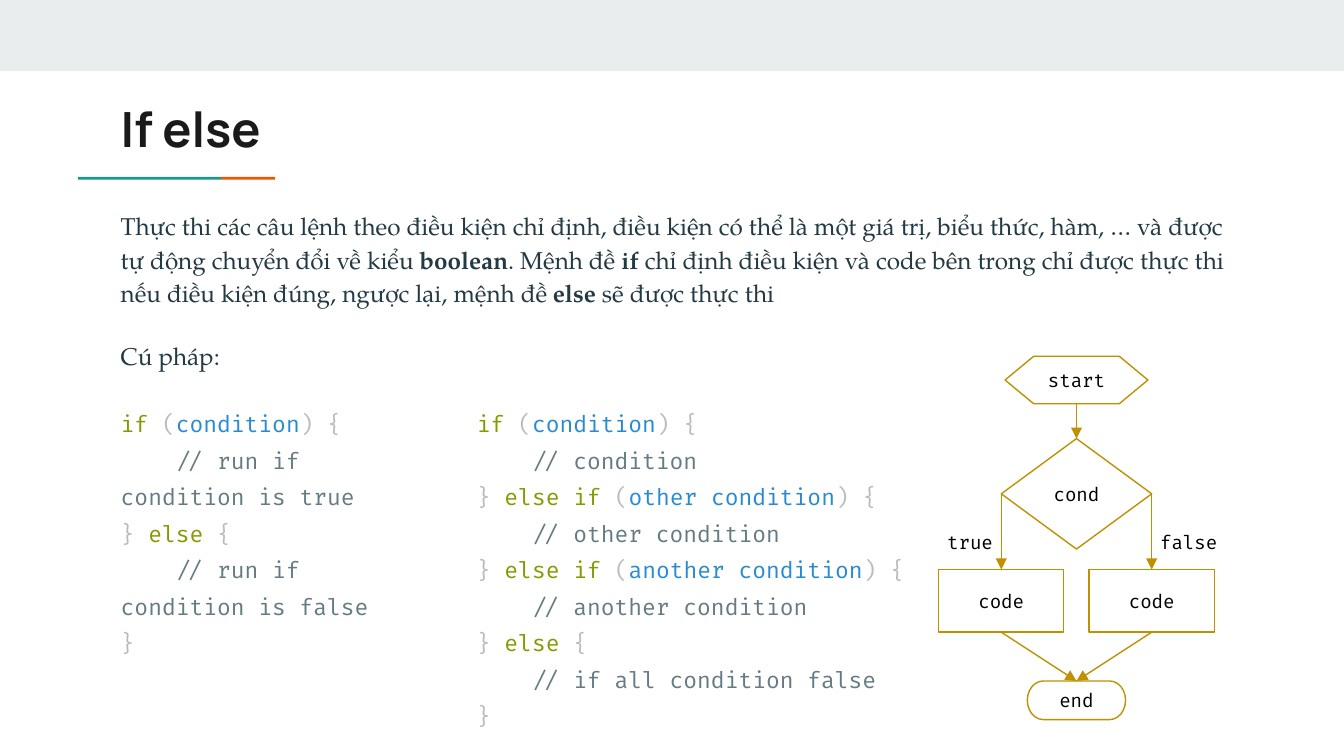
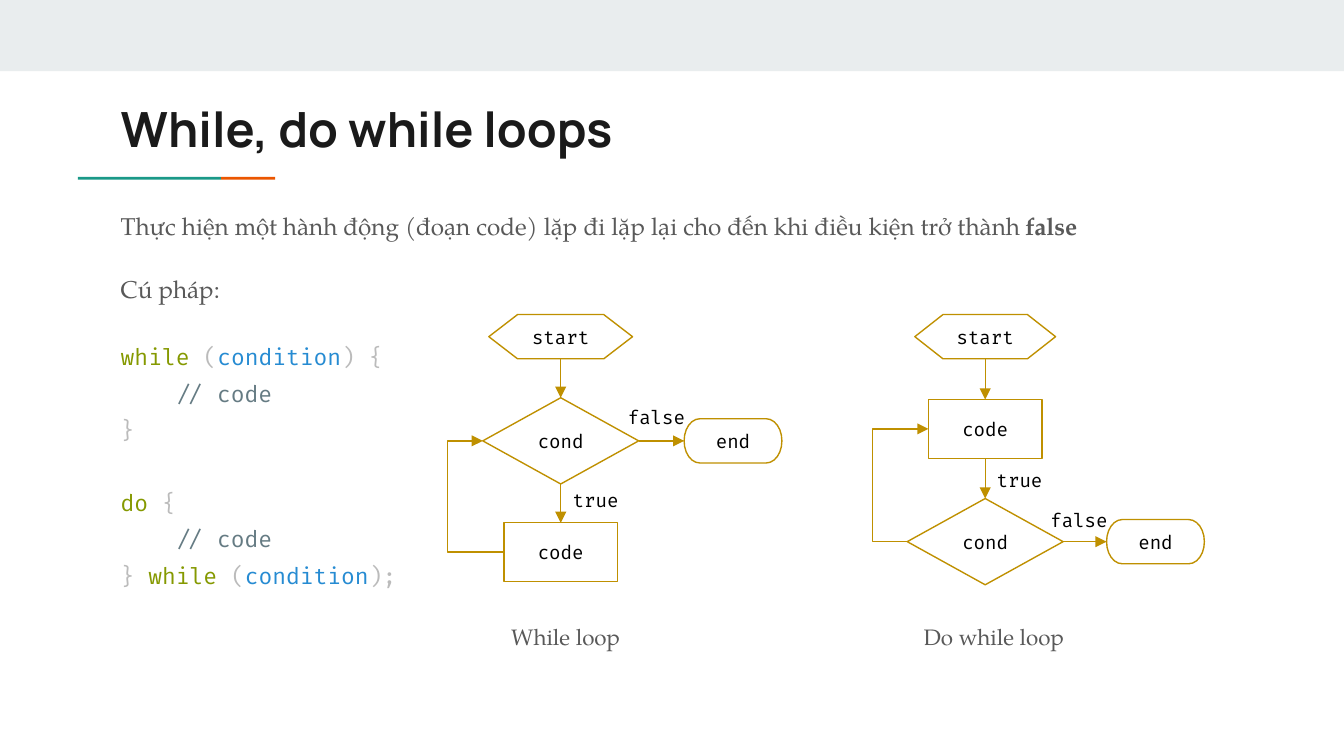
from dataclasses import dataclass
from typing import NamedTuple

from pptx import Presentation
from pptx.dml.color import RGBColor
from pptx.enum.shapes import MSO_CONNECTOR, MSO_SHAPE
from pptx.enum.text import MSO_ANCHOR, PP_ALIGN
from pptx.oxml.ns import qn
from pptx.oxml.xmlchemy import OxmlElement
from pptx.util import Pt

BAND = RGBColor(0xE9, 0xED, 0xEE)
TEAL = RGBColor(0x1A, 0x99, 0x88)
ORANGE = RGBColor(0xEB, 0x56, 0x00)
INK = RGBColor(0x1A, 0x1A, 0x1A)
SLATE = RGBColor(0x23, 0x3A, 0x44)
GRAY = RGBColor(0x59, 0x59, 0x59)
GOLD = RGBColor(0xBF, 0x90, 0x00)
BLACK = RGBColor(0x00, 0x00, 0x00)
KEYWORD = RGBColor(0x85, 0x99, 0x00)
PUNCTUATION = RGBColor(0xBB, 0xBB, 0xBB)
CONDITION = RGBColor(0x26, 0x8B, 0xD2)
COMMENT = RGBColor(0x65, 0x7B, 0x83)

SERIF, MONO = "TeX Gyre Pagella", "Fira Code"
TITLE = {"name": "Manrope", "size": Pt(26), "bold": True, "rgb": INK}
INTRO = {"name": SERIF, "size": Pt(13), "rgb": SLATE}
INTRO_GRAY = {**INTRO, "rgb": GRAY}
CAPTION = {"name": SERIF, "size": Pt(12), "rgb": GRAY}
CODE = {"name": MONO, "size": Pt(12), "rgb": PUNCTUATION}
FLOW = {"name": MONO, "size": Pt(10), "rgb": BLACK}
MARKS = {
    "*": {"bold": True},
    "@": {"rgb": KEYWORD},
    "#": {"rgb": CONDITION},
    "%": {"rgb": COMMENT},
}

TOP, LEFT, BOTTOM, RIGHT = range(4)
START = MSO_SHAPE.FLOWCHART_PREPARATION
DECISION = MSO_SHAPE.FLOWCHART_DECISION
PROCESS = MSO_SHAPE.FLOWCHART_PROCESS
END = MSO_SHAPE.FLOWCHART_TERMINATOR


class Box(NamedTuple):
    """Left, top, width and height in points."""
    x: float
    y: float
    w: float
    h: float

    def lengths(self) -> list:
        """Return the four values as lengths."""
        return [Pt(v) for v in self]


class Bar(NamedTuple):
    """A plain filled rectangle."""
    box: Box
    color: RGBColor


@dataclass
class Para:
    """A paragraph whose pieces are parted by | and may start with a mark."""
    text: str
    style: dict
    spacing: float = 1.0
    before: float = 0


@dataclass
class Node:
    """A flowchart shape given by its centre and size."""
    kind: MSO_SHAPE
    text: str
    cx: float
    cy: float
    w: float
    h: float


class Link(NamedTuple):
    """An arrow between two node sides, bent through x = via if given."""
    source: str
    out: int
    target: str
    into: int
    via: float | None = None


class Label(NamedTuple):
    """Centred text given by its centre."""
    text: str
    cx: float
    cy: float
    style: dict = FLOW


@dataclass
class Flow:
    """A flowchart."""
    nodes: dict[str, Node]
    links: list[Link]
    labels: list[Label]


BARS = [
    Bar(Box(0, 0, 720, 38.2), BAND),
    Bar(Box(41.8, 94.8, 76.6, 1.5), TEAL),
    Bar(Box(118.4, 94.8, 29, 1.5), ORANGE),
]
TITLE_BOX = Box(57.6, 46, 605.5, 42.5)
BODY_BOX = Box(57.6, 103.7, 605.5, 282)


def code(*lines: str) -> list[Para]:
    """Make code paragraphs."""
    return [Para(line, CODE, 1.36) for line in lines]


def centred(cx: float, cy: float, w: float, h: float) -> Box:
    """Return the box around a centre."""
    return Box(cx - w / 2, cy - h / 2, w, h)


def write(tf, paras: list[Para], center: bool = False) -> None:
    """Fill a text frame with marked-up paragraphs."""
    frame = {"word_wrap": True,
             "vertical_anchor": MSO_ANCHOR.MIDDLE if center else MSO_ANCHOR.TOP}
    frame.update({f"margin_{side}": Pt(7.2)
                  for side in ("left", "top", "right", "bottom")})
    for key, value in frame.items():
        setattr(tf, key, value)
    for i, para in enumerate(paras):
        p = tf.add_paragraph() if i else tf.paragraphs[0]
        layout = {"alignment": PP_ALIGN.CENTER if center else PP_ALIGN.LEFT,
                  "line_spacing": para.spacing, "space_before": Pt(para.before)}
        for key, value in layout.items():
            setattr(p, key, value)
        for piece in filter(None, para.text.split("|")):
            mark = MARKS.get(piece[0])
            r = p.add_run()
            r.text = piece[1:] if mark else piece
            for key, value in {**para.style, **(mark or {})}.items():
                setattr(r.font.color if key == "rgb" else r.font, key, value)


def add_text(s, box: Box, paras: list[Para], center: bool = False) -> None:
    """Add a text box."""
    write(s.shapes.add_textbox(*box.lengths()).text_frame, paras, center)


def add_bar(s, bar: Bar) -> None:
    """Add a filled rectangle without outline."""
    sp = s.shapes.add_shape(MSO_SHAPE.RECTANGLE, *bar.box.lengths())
    sp.shadow.inherit = False
    sp.fill.solid()
    sp.fill.fore_color.rgb = bar.color
    sp.line.fill.background()


def add_node(s, node: Node):
    """Add an outlined flowchart shape."""
    box = centred(node.cx, node.cy, node.w, node.h)
    sp = s.shapes.add_shape(node.kind, *box.lengths())
    sp.shadow.inherit = False
    sp.fill.background()
    sp.line.color.rgb = GOLD
    sp.line.width = Pt(0.75)
    write(sp.text_frame, [Para(node.text, FLOW)], center=True)
    return sp


def add_link(s, shapes: dict, link: Link) -> None:
    """Join two shapes with an arrow."""
    kind = MSO_CONNECTOR.STRAIGHT if link.via is None else MSO_CONNECTOR.ELBOW
    c = s.shapes.add_connector(kind, Pt(0), Pt(0), Pt(0), Pt(0))
    c.begin_connect(shapes[link.source], link.out)
    c.end_connect(shapes[link.target], link.into)
    c.line.color.rgb = GOLD
    c.line.width = Pt(0.75)
    arrow = OxmlElement("a:tailEnd")
    arrow.set("type", "triangle")
    c.line._get_or_add_ln().append(arrow)
    c.element.spPr.append(OxmlElement("a:effectLst"))
    if link.via is not None:
        ratio = (Pt(link.via) - c.begin_x) / (c.end_x - c.begin_x)
        guide = OxmlElement("a:gd")
        guide.set("name", "adj1")
        guide.set("fmla", f"val {round(ratio * 100000)}")
        geometry = c.element.spPr.find(qn("a:prstGeom"))
        geometry.find(qn("a:avLst")).append(guide)


def add_flow(s, flow: Flow) -> None:
    """Draw a flowchart."""
    shapes = {key: add_node(s, node) for key, node in flow.nodes.items()}
    for link in flow.links:
        add_link(s, shapes, link)
    for label in flow.labels:
        width = 160 if label.style is CAPTION else 56
        add_text(s, centred(label.cx, label.cy, width, 36),
                 [Para(label.text, label.style)], center=True)


def add_base(prs, title: str, body: list[Para]):
    """Add a slide with band, accent line, title and body."""
    s = prs.slides.add_slide(prs.slide_layouts[6])
    for bar in BARS:
        add_bar(s, bar)
    add_text(s, TITLE_BOX, [Para(title, TITLE)])
    add_text(s, BODY_BOX, body)
    return s


def if_else(prs) -> None:
    """Build the if else slide."""
    s = add_base(prs, "If else", [
        Para("Thực thi các câu lệnh theo điều kiện chỉ định, điều kiện có thể là "
             "một giá trị, biểu thức, hàm, … và được tự động chuyển đổi về kiểu "
             "|*boolean|. Mệnh đề |*if| chỉ định điều kiện và code bên trong chỉ "
             "được thực thi nếu điều kiện đúng, ngược lại, mệnh đề |*else| sẽ "
             "được thực thi", INTRO, 1.15),
        Para("Cú pháp:", INTRO, 1.15, 16),
    ])
    cx, half = 576.7, 40.3
    add_flow(s, Flow(
        {"start": Node(START, "start", cx, 203.6, 76.5, 25.4),
         "cond": Node(DECISION, "cond", cx, 264.6, 2 * half, 59.2),
         "yes": Node(PROCESS, "code", cx - half, 321.9, 67, 33.6),
         "no": Node(PROCESS, "code", cx + half, 321.9, 67, 33.6),
         "end": Node(END, "end", cx, 375.2, 52.6, 20.7)},
        [Link("start", BOTTOM, "cond", TOP),
         Link("cond", LEFT, "yes", TOP),
         Link("cond", RIGHT, "no", TOP),
         Link("yes", BOTTOM, "end", TOP),
         Link("no", BOTTOM, "end", TOP)],
        [Label("true", 519.7, 290.6), Label("false", 636.8, 290.6)]))
    add_text(s, Box(248.4, 207.4, 245.5, 178), code(
        "|@if| (|#condition|) {",
        "    |%// condition",
        "} |@else if| (|#other condition|) {",
        "    |%// other condition",
        "} |@else if| (|#another condition|) {",
        "    |%// another condition",
        "} |@else| {",
        "    |%// if all condition false",
        "}"))
    add_text(s, Box(57.6, 207.4, 176.4, 183), code(
        "|@if| (|#condition|) {",
        "    |%// run if condition is true",
        "} |@else| {",
        "    |%// run if condition is false",
        "}"))


def loops(prs) -> None:
    """Build the while and do while slide."""
    while_code = code("|@while| (|#condition|) {", "    |%// code", "}")
    do_code = code("|@do| {", "    |%// code", "} |@while| (|#condition|);")
    while_code[0].before = 16
    do_code[0].before = 19.4
    s = add_base(prs, "While, do while loops", [
        Para("Thực hiện một hành động (đoạn code) lặp đi lặp lại cho đến khi "
             "điều kiện trở thành |*false", INTRO_GRAY, 1.15),
        Para("Cú pháp:", INTRO_GRAY, 1.15, 16),
        *while_code, *do_code])

    def nodes(cx: float, start_w: float, cond_y: float, code_y: float,
              end_x: float) -> dict[str, Node]:
        """Place the four nodes of a loop."""
        return {"start": Node(START, "start", cx, 180.4, start_w, 23.7),
                "cond": Node(DECISION, "cond", cx, cond_y, 83.5, 46.2),
                "code": Node(PROCESS, "code", cx, code_y, 60.9, 31.4),
                "end": Node(END, "end", end_x, cond_y, 52.4, 23.7)}

    add_flow(s, Flow(
        nodes(300.4, 77, 236.2, 295.8, 392.7),
        [Link("start", BOTTOM, "cond", TOP),
         Link("cond", BOTTOM, "code", TOP),
         Link("cond", RIGHT, "end", LEFT),
         Link("code", LEFT, "cond", LEFT, 239.6)],
        [Label("true", 319.1, 267.7), Label("false", 351.7, 223.6),
         Label("While loop", 303.1, 340.8, CAPTION)]))
    add_flow(s, Flow(
        nodes(527.8, 75.4, 290.2, 229.8, 619),
        [Link("start", BOTTOM, "code", TOP),
         Link("code", BOTTOM, "cond", TOP),
         Link("cond", RIGHT, "end", LEFT),
         Link("cond", LEFT, "code", LEFT, 467.4)],
        [Label("true", 546.2, 257), Label("false", 578, 278.8),
         Label("Do while loop", 532.5, 340.8, CAPTION)]))


def main() -> None:
    """Build and save the deck."""
    prs = Presentation()
    prs.slide_width, prs.slide_height = Pt(720), Pt(405)
    if_else(prs)
    loops(prs)
    prs.save("out.pptx")


if __name__ == "__main__":
    main()
